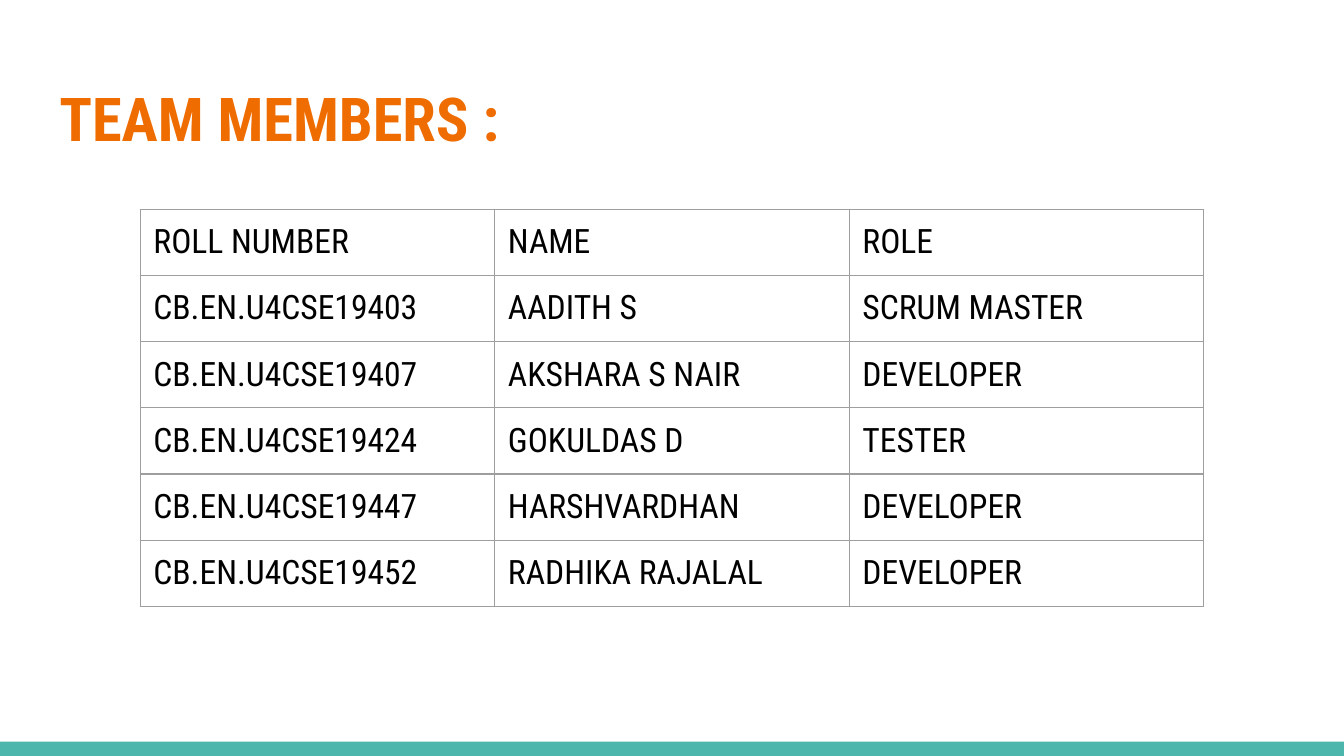
"""Build the team members slide: a title, a roster table and a footer band."""
from lxml import etree
from pptx import Presentation
from pptx.dml.color import RGBColor
from pptx.enum import shapes, text
from pptx.oxml import ns
from pptx.util import Cm, Pt

ORANGE = RGBColor(0xEF, 0x6C, 0x00)
TEAL = RGBColor(0x4D, 0xB6, 0xAC)
GREY = RGBColor(0x9E, 0x9E, 0x9E)
BLACK = RGBColor(0, 0, 0)
FONT = "Roboto Condensed"
INSET = Cm(0.25)
MEMBERS = [
    ("ROLL NUMBER", "NAME", "ROLE"),
    ("CB.EN.U4CSE19403", "AADITH S", "SCRUM MASTER"),
    ("CB.EN.U4CSE19407", "AKSHARA S NAIR", "DEVELOPER"),
    ("CB.EN.U4CSE19424", "GOKULDAS D", "TESTER"),
    ("CB.EN.U4CSE19447", "HARSHVARDHAN", "DEVELOPER"),
    ("CB.EN.U4CSE19452", "RADHIKA RAJALAL", "DEVELOPER"),
]


def style_font(paragraph, size, color, bold):
    font = paragraph.font
    font.name, font.size, font.bold = FONT, Pt(size), bold
    font.color.rgb = color


def outline_cell(cell):
    properties = cell._tc.get_or_add_tcPr()
    for position, side in enumerate(("lnL", "lnR", "lnT", "lnB")):
        border = etree.Element(ns.qn(f"a:{side}"), w=str(Pt(0.75)))
        fill = etree.SubElement(border, ns.qn("a:solidFill"))
        etree.SubElement(fill, ns.qn("a:srgbClr"), val=str(GREY))
        properties.insert(position, border)


prs = Presentation()
prs.slide_width, prs.slide_height = Cm(25.4), Cm(14.29)
slide = prs.slides.add_slide(prs.slide_layouts[5])

footer = slide.shapes.add_shape(
    shapes.MSO_SHAPE.RECTANGLE, 0, Cm(14.02), prs.slide_width, Cm(0.27))
footer.shadow.inherit = False
footer.fill.solid()
footer.fill.fore_color.rgb = TEAL
footer.line.fill.background()

title = slide.shapes.title
title.left, title.top, title.width, title.height = Cm(0.87), Cm(1.24), Cm(23.67), Cm(1.96)
heading = title.text_frame
heading.text = "TEAM MEMBERS :"
heading.auto_size = text.MSO_AUTO_SIZE.NONE
heading.vertical_anchor = text.MSO_ANCHOR.MIDDLE
heading.margin_left = heading.margin_right = INSET
heading.margin_top = heading.margin_bottom = INSET
heading.paragraphs[0].alignment = text.PP_ALIGN.LEFT
style_font(heading.paragraphs[0], 32.4, ORANGE, True)

roster = slide.shapes.add_table(
    len(MEMBERS), len(MEMBERS[0]), Cm(2.65), Cm(3.96),
    Cm(6.7) * len(MEMBERS[0]), Cm(1.25) * len(MEMBERS)).table
roster.first_row = roster.horz_banding = False
for row, member in enumerate(MEMBERS):
    for column, entry in enumerate(member):
        cell = roster.cell(row, column)
        cell.text = entry
        cell.margin_left = cell.margin_right = INSET
        cell.margin_top = cell.margin_bottom = INSET
        cell.fill.background()
        outline_cell(cell)
        style_font(cell.text_frame.paragraphs[0], 18, BLACK, False)

prs.save("out.pptx")
